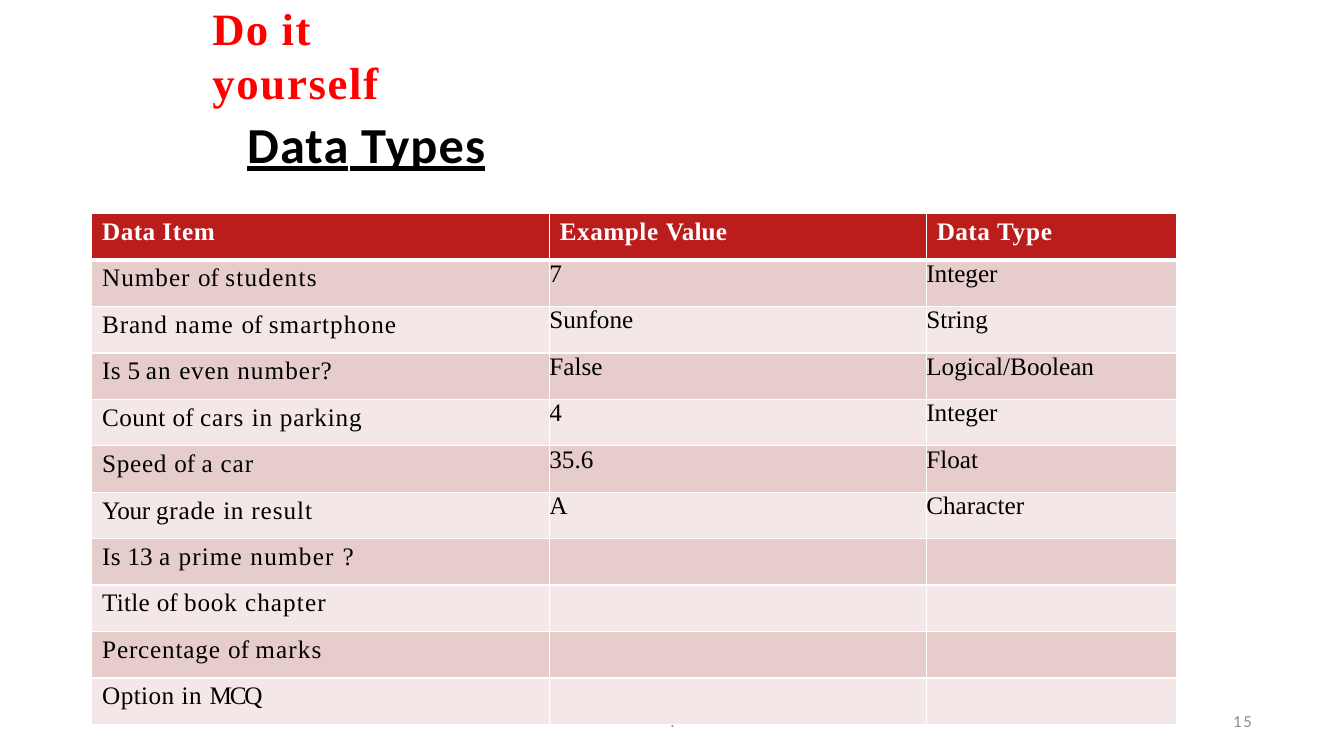
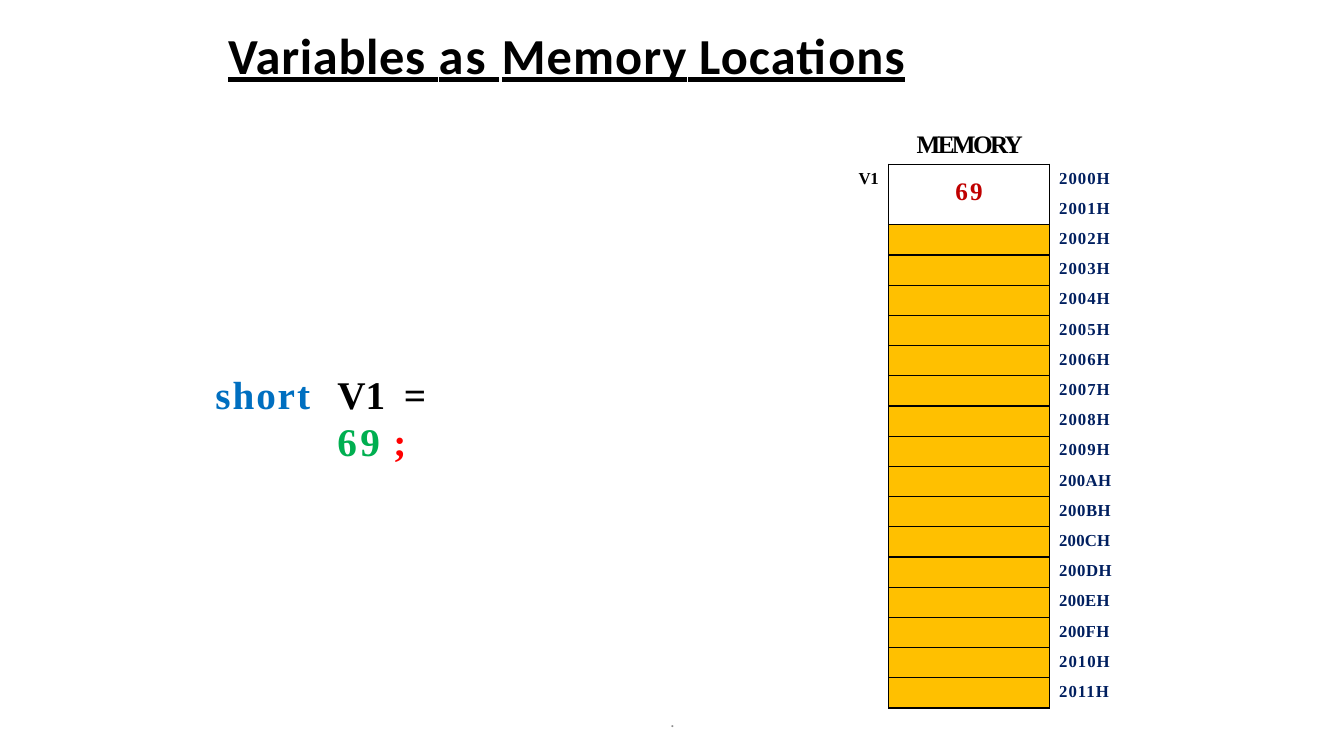
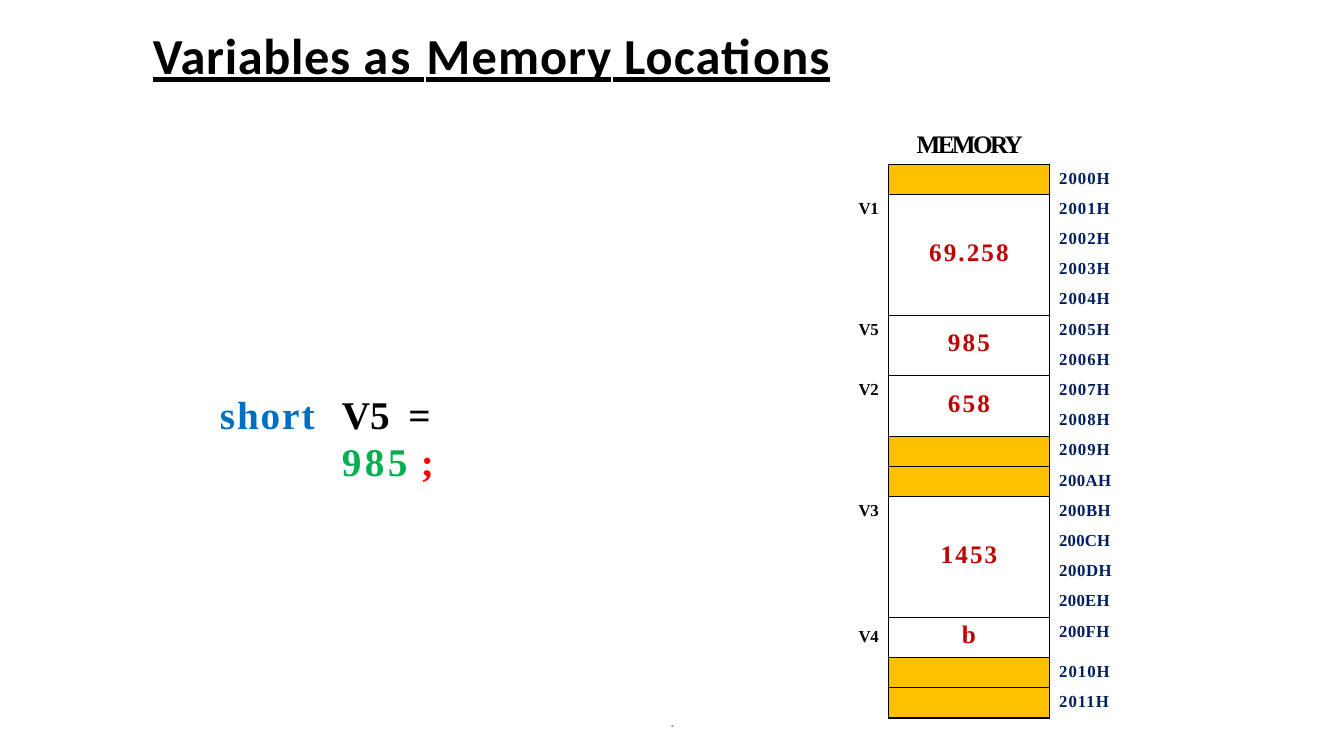
from dataclasses import dataclass

from lxml import etree
from pptx import Presentation
from pptx.dml.color import RGBColor
from pptx.enum.text import MSO_ANCHOR, PP_ALIGN
from pptx.oxml.ns import qn
from pptx.util import Pt

LEFT, CENTER, RIGHT = PP_ALIGN.LEFT, PP_ALIGN.CENTER, PP_ALIGN.RIGHT
TOP, MIDDLE = MSO_ANCHOR.TOP, MSO_ANCHOR.MIDDLE

BLACK = RGBColor(0x00, 0x00, 0x00)
WHITE = RGBColor(0xFF, 0xFF, 0xFF)
RED = RGBColor(0xFF, 0x00, 0x00)
GRAY = RGBColor(0x8C, 0x8C, 0x8C)
HEADER_RED = RGBColor(0xBB, 0x1C, 0x1C)
BAND_DARK = RGBColor(0xE7, 0xCC, 0xCC)
BAND_LIGHT = RGBColor(0xF4, 0xE7, 0xE7)
FREE_MEMORY = RGBColor(0xFF, 0xC0, 0x00)
VALUE_RED = RGBColor(0xC0, 0x00, 0x00)
ADDRESS_BLUE = RGBColor(0x00, 0x1F, 0x5F)
KEYWORD_BLUE = RGBColor(0x00, 0x6F, 0xC0)
NUMBER_GREEN = RGBColor(0x00, 0xAF, 0x50)

SANS, SERIF = "Calibri", "Times New Roman"
PLAIN_TABLE_STYLE = "{2D5ABB26-0587-4C30-8999-92F81FD0307C}"


@dataclass(frozen=True)
class Piece:
    text: str
    spacing: float = 0
    color: RGBColor | None = None


@dataclass(frozen=True)
class Style:
    size: float
    font: str = SERIF
    color: RGBColor = BLACK
    bold: bool = True
    underline: bool = False


@dataclass(frozen=True)
class Box:
    left: float
    top: float
    width: float
    height: float


@dataclass(frozen=True)
class DataItem:
    name: list[Piece]
    value: str = ""
    kind: str = ""


@dataclass(frozen=True)
class Block:
    rows: int = 1
    value: str = ""
    label: str = ""

    @property
    def tall(self) -> bool:
        return self.rows == 1 and self.value != ""


@dataclass(frozen=True)
class MemorySlide:
    title_left: float
    statement: Box
    variable: str
    value: str
    blocks: list[Block]
    merge_labels: bool = False


HEADING = Style(36, SANS, underline=True)
BANNER = Style(32, color=RED)
FOOTER = Style(12, SANS, GRAY, bold=False)
CODE = Style(28)
TABLE_HEADER = Style(18, color=WHITE)
TABLE_BODY = Style(18, bold=False)
MEMORY_HEADER = Style(18)
MEMORY_LABEL = Style(12)
MEMORY_VALUE = Style(18, color=VALUE_RED)
MEMORY_ADDRESS = Style(12, color=ADDRESS_BLUE)

FOOTER_LINE = 14.8
DATA_ROW = 33.18
DATA_COLUMNS = [326.9, 269.3, 178.9]
MEMORY_ROW, MEMORY_TALL_ROW = 21.58, 28.8
MEMORY_COLUMNS = [31.7, 114.5, 55.4]
KEYWORD_WIDTH, VARIABLE_OFFSET = 70.6, 87.1
ADDRESS_SPACING = {"A": 0.3, "B": 0.4, "C": 0.1, "D": 0.4, "E": 0.2, "F": 0.3}

MEMORY_TITLE = [Piece("Variables ", 0.5), Piece("as ", 1.6), Piece("Memory", 0.8),
                Piece(" ", -6.1), Piece("Locations", 0.8)]
DATA_HEADERS = [
    [Piece("Data ", 0.3), Piece("Item", 0.5)],
    [Piece("Example ", 0.4), Piece("Value", 0.1)],
    [Piece("Data ", 0.3), Piece("Type", 0.5)],
]
DATA_ITEMS = [
    DataItem([Piece("Number ", 0.7), Piece("of "), Piece("students", 0.9)], "7", "Integer"),
    DataItem([Piece("Brand ", 0.6), Piece("name ", 0.8), Piece("of "),
              Piece("smartphone", 0.8)], "Sunfone", "String"),
    DataItem([Piece("Is ", 0.2), Piece("5 ", -0.4), Piece("an ", 0.8), Piece("even ", 0.6),
              Piece("number?", 0.8)], "False", "Logical/Boolean"),
    DataItem([Piece("Count ", 0.3), Piece("of "), Piece("cars ", 0.7), Piece("in ", 0.5),
              Piece("parking", 0.6)], "4", "Integer"),
    DataItem([Piece("Speed ", 0.5), Piece("of "), Piece("a ", 0.5), Piece("car", 0.7)],
             "35.6", "Float"),
    DataItem([Piece("Your ", -0.3), Piece("grade ", 0.6), Piece("in ", 0.5),
              Piece("result", 0.7)], "A", "Character"),
    DataItem([Piece("Is ", 0.2), Piece("13 "), Piece("a prime ", 0.8),
              Piece("number ", 0.9), Piece("?", -0.4)]),
    DataItem([Piece("Title ", 0.2), Piece("of "), Piece("book ", 0.6), Piece("chapter", 0.8)]),
    DataItem([Piece("Percentage ", 0.6), Piece("of "), Piece("marks", 0.8)]),
    DataItem([Piece("Option ", 0.3), Piece("in ", 0.5), Piece("MCQ", -1.6)]),
]
MEMORY_SLIDES = [
    MemorySlide(162, Box(153, 263.5, 118.8, 35.3), "V1", "69",
                [Block(2, "69", "V1")] + [Block()] * 16, merge_labels=True),
    MemorySlide(108.3, Box(156.2, 277.9, 135.4, 35.3), "V5", "985",
                [Block(), Block(4, "69.258", "V1"), Block(2, "985", "V5"),
                 Block(2, "658", "V2"), Block(), Block(), Block(4, "1453", "V3"),
                 Block(1, "b", "V4"), Block(), Block()]),
]


def write(paragraph, pieces: list[Piece], style: Style, align=LEFT) -> None:
    paragraph.alignment = align
    for piece in pieces:
        run = paragraph.add_run()
        run.text = piece.text
        run.font.size = Pt(style.size)
        run.font.name = style.font
        run.font.bold = style.bold
        run.font.underline = style.underline
        run.font.color.rgb = piece.color or style.color
        run._r.get_or_add_rPr().set("spc", str(round(piece.spacing * 100)))


def add_text(slide, box: Box, pieces: list[Piece], style: Style, align=LEFT, anchor=TOP):
    shape = slide.shapes.add_textbox(Pt(box.left), Pt(box.top), Pt(box.width), Pt(box.height))
    frame = shape.text_frame
    frame.word_wrap = True
    frame.vertical_anchor = anchor
    frame.margin_left = frame.margin_top = Pt(0.9)
    frame.margin_right = frame.margin_bottom = 0
    paragraph = frame.paragraphs[0]
    write(paragraph, pieces, style, align)
    return paragraph


def add_footer(slide, box: Box, piece: Piece, align) -> None:
    paragraph = add_text(slide, box, [piece], FOOTER, align, MIDDLE)
    paragraph.line_spacing = Pt(FOOTER_LINE)


def add_footer_dot(slide) -> None:
    add_footer(slide, Box(318, 500, 324, 28.8), Piece(".", -0.7), CENTER)


def add_plain_table(slide, left: float, top: float, columns: list[float], rows: list[float]):
    table = slide.shapes.add_table(len(rows), len(columns), Pt(left), Pt(top),
                                   Pt(sum(columns)), Pt(sum(rows))).table
    table.first_row = table.horz_banding = False
    table._tbl.tblPr.find(qn("a:tableStyleId")).text = PLAIN_TABLE_STYLE
    for column, width in zip(table.columns, columns):
        column.width = Pt(width)
    for row, height in zip(table.rows, rows):
        row.height = Pt(height)
    for cell in table.iter_cells():
        cell.margin_left = cell.margin_top = cell.margin_right = cell.margin_bottom = 0
    return table


def set_borders(cell, color: RGBColor, widths: dict[str, float]) -> None:
    properties = cell._tc.get_or_add_tcPr()
    for side in "LRTB":
        if side in widths:
            line = etree.SubElement(properties, qn(f"a:ln{side}"), w=str(Pt(widths[side])))
            fill = etree.SubElement(line, qn("a:solidFill"))
            etree.SubElement(fill, qn("a:srgbClr"), val=str(color))


def set_fill(cell, color: RGBColor) -> None:
    cell.fill.solid()
    cell.fill.fore_color.rgb = color


def shrink_empty(cell) -> None:
    if not cell.text_frame.text:
        paragraph = cell.text_frame.paragraphs[0]._p
        etree.SubElement(paragraph, qn("a:endParaRPr"), sz="1200")


def add_data_table(slide) -> None:
    rows = [DATA_HEADERS]
    rows += [[item.name, [Piece(item.value)], [Piece(item.kind)]] for item in DATA_ITEMS]
    table = add_plain_table(slide, 65.5, 152.6, DATA_COLUMNS, [DATA_ROW] * len(rows))
    for row_index, row in enumerate(rows):
        header = row_index == 0
        band = BAND_DARK if row_index % 2 else BAND_LIGHT
        for column_index, pieces in enumerate(row):
            cell = table.cell(row_index, column_index)
            set_borders(cell, WHITE, {"L": 1, "R": 1, "T": 3 if row_index == 1 else 1,
                                      "B": 3 if header else 1})
            set_fill(cell, HEADER_RED if header else band)
            if header or column_index == 0:
                cell.margin_left, cell.margin_top = Pt(7.5), Pt(3.1)
            if pieces[0].text:
                write(cell.text_frame.paragraphs[0], pieces,
                      TABLE_HEADER if header else TABLE_BODY)


def add_block(table, first: int, block: Block) -> None:
    label, content = table.cell(first, 0), table.cell(first, 1)
    for row in range(first, first + block.rows):
        set_borders(table.cell(row, 0), BLACK, {"R": 1})
        set_borders(table.cell(row, 2), BLACK, {"L": 1})
        sides = "LRTB" if row == first else "LR"
        set_borders(table.cell(row, 1), BLACK, dict.fromkeys(sides, 1))
    if not block.value:
        set_fill(content, FREE_MEMORY)
        return
    if block.rows > 1:
        content.merge(table.cell(first + block.rows - 1, 1))
    content.vertical_anchor = MIDDLE
    content.margin_bottom = Pt(3.5)
    label.margin_left, label.margin_top = Pt(2.9), Pt(7 if block.tall else 3.4)
    write(content.text_frame.paragraphs[0], [Piece(block.value, 1.5)], MEMORY_VALUE, CENTER)
    write(label.text_frame.paragraphs[0], [Piece(block.label, -0.1)], MEMORY_LABEL, CENTER)


def add_memory_table(slide, blocks: list[Block], merge_labels: bool) -> None:
    heights = [MEMORY_ROW]
    for block in blocks:
        heights += [MEMORY_TALL_ROW if block.tall else MEMORY_ROW] * block.rows
    table = add_plain_table(slide, 603.2, 95.8, MEMORY_COLUMNS, heights)

    header = table.cell(0, 0)
    header.merge(table.cell(0, 2))
    header.margin_left = Pt(51.6)
    paragraph = header.text_frame.paragraphs[0]
    write(paragraph, [Piece("MEMORY", -1.9)], MEMORY_HEADER)
    paragraph.line_spacing = Pt(17.6)

    first = 1
    for block in blocks:
        add_block(table, first, block)
        first += block.rows
    if merge_labels:
        table.cell(1, 0).merge(table.cell(len(heights) - 1, 0))
    for row in range(1, len(heights)):
        digits = f"{0x2000 + row - 1:X}"
        cell = table.cell(row, 2)
        cell.margin_left, cell.margin_top = Pt(7.2), Pt(3.4)
        spacing = ADDRESS_SPACING.get(digits[-1], 0.7)
        write(cell.text_frame.paragraphs[0], [Piece(f"{digits}H", spacing)], MEMORY_ADDRESS)
    for cell in table.iter_cells():
        shrink_empty(cell)


def add_statement(slide, box: Box, variable: str, value: str) -> None:
    add_text(slide, Box(box.left, box.top, KEYWORD_WIDTH, box.height),
             [Piece("shor", 1.4, KEYWORD_BLUE), Piece("t", 0.8, KEYWORD_BLUE)], CODE)
    pieces = [Piece(f"{variable}\t"), Piece("= ", 0.6), Piece(value, 2.5, NUMBER_GREEN),
              Piece(" ", -0.4, NUMBER_GREEN), Piece(";", -1.6, RED)]
    paragraph = add_text(slide, Box(box.left + VARIABLE_OFFSET, box.top, box.width, box.height),
                         pieces, CODE)
    tabs = etree.SubElement(paragraph._p.get_or_add_pPr(), qn("a:tabLst"))
    etree.SubElement(tabs, qn("a:tab"), pos=str(Pt(47.5)), algn="l")


def add_data_slide(slide) -> None:
    add_text(slide, Box(175.7, 79.9, 191.5, 44.6),
             [Piece("Data", 0.8), Piece(" ", -1.9), Piece("Types", 0.8)], HEADING)
    add_text(slide, Box(150.8, 18.3, 198.7, 40.3),
             [Piece("Do ", 0.8), Piece("it ", 1.1), Piece("yourself", 1.2)],
             BANNER, anchor=MIDDLE)
    add_footer(slide, Box(678.2, 500, 216, 28.8), Piece("15", 1.3), RIGHT)
    add_data_table(slide)
    add_footer_dot(slide)


def add_memory_slide(slide, content: MemorySlide) -> None:
    add_text(slide, Box(content.title_left, 15.8, 776.9 - content.title_left, 44.6),
             MEMORY_TITLE, HEADING, anchor=MIDDLE)
    add_footer_dot(slide)
    add_memory_table(slide, content.blocks, content.merge_labels)
    add_statement(slide, content.statement, content.variable, content.value)


def main() -> None:
    presentation = Presentation()
    presentation.slide_width, presentation.slide_height = Pt(960), Pt(540)
    blank = presentation.slide_layouts[6]
    add_data_slide(presentation.slides.add_slide(blank))
    for content in MEMORY_SLIDES:
        add_memory_slide(presentation.slides.add_slide(blank), content)
    presentation.save("out.pptx")


if __name__ == "__main__":
    main()
